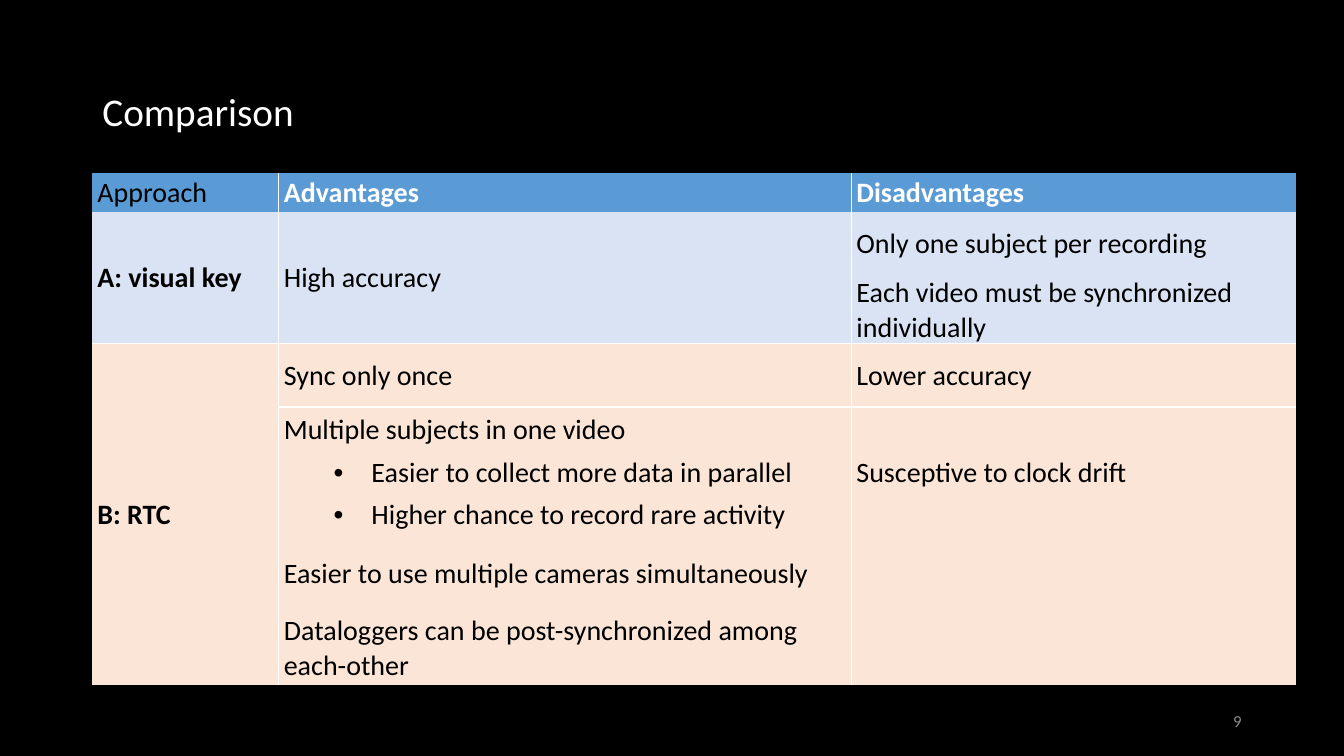
from lxml.etree import SubElement
from pptx import Presentation
from pptx.dml.color import RGBColor
from pptx.enum.text import MSO_ANCHOR as Anchor, PP_ALIGN as Align
from pptx.oxml import parse_xml
from pptx.oxml.ns import nsdecls, qn
from pptx.util import Pt

BLACK = RGBColor(0x00, 0x00, 0x00)
WHITE = RGBColor(0xFF, 0xFF, 0xFF)
GRAY = RGBColor(0x8C, 0x8C, 0x8C)
HEADER_BLUE = RGBColor(0x5B, 0x9B, 0xD5)
PALE_BLUE = RGBColor(0xDA, 0xE3, 0xF3)
PALE_ORANGE = RGBColor(0xFB, 0xE5, 0xD6)
FONT = "Calibri"
PLAIN_TABLE_STYLE = "{2D5ABB26-0587-4C30-8999-92F81FD0307C}"

COLUMN_WIDTHS = [133.2, 409, 317.5]
ROW_HEIGHTS = [27.4, 45.4, 45.4, 45.4, 92.9, 52.6, 53.3]
ROW_FILLS = [HEADER_BLUE] + [PALE_BLUE] * 2 + [PALE_ORANGE] * 4
MERGES = [((1, 0), (2, 0)), ((1, 1), (2, 1)), ((3, 0), (6, 0))]
LAST_ROW_OF_A = 2
BULLET = "• "
CELL_TEXTS = [
    ["Approach", "Advantages", "Disadvantages"],
    ["A: visual key", "High accuracy", "Only one subject per recording"],
    ["", "", "Each video must be synchronized individually"],
    ["B: RTC", "Sync only once", "Lower accuracy"],
    ["", "Multiple subjects in one video\n"
         "• Easier to collect more data in parallel\n"
         "• Higher chance to record rare activity",
     "Susceptive to clock drift"],
    ["", "Easier to use multiple cameras simultaneously", ""],
    ["", "Dataloggers can be post-synchronized among each-other", ""],
]


def format_font(font, size, color, bold=False):
    font.name = FONT
    font.size = Pt(size)
    font.bold = bold
    font.color.rgb = color


def add_title(slide, left, top, width, height):
    title = slide.shapes.title
    title.left, title.top, title.width, title.height = map(Pt, (left, top, width, height))
    title.text_frame.text = "Comparison"
    title.text_frame.vertical_anchor = Anchor.MIDDLE
    paragraph = title.text_frame.paragraphs[0]
    paragraph.alignment = Align.LEFT
    paragraph.line_spacing = 0.9
    format_font(paragraph.runs[0].font, 28, WHITE)


def add_slide_number(slide, left, top, width, height):
    box = slide.shapes.add_textbox(Pt(left), Pt(top), Pt(width), Pt(height))
    frame = box.text_frame
    frame.word_wrap = True
    frame.vertical_anchor = Anchor.MIDDLE
    frame.text = "9"
    frame.paragraphs[0].alignment = Align.RIGHT
    format_font(frame.paragraphs[0].runs[0].font, 12, GRAY)


def set_borders(cell, sides):
    properties = cell._tc.get_or_add_tcPr()
    for index, side in enumerate(sides):
        properties.insert(index, parse_xml(
            f'<a:ln{side} {nsdecls("a")} w="{Pt(1)}"><a:solidFill>'
            f'<a:srgbClr val="{WHITE}"/></a:solidFill></a:ln{side}>'))


def fill_text(cell, text, color, bold):
    cell.margin_left = cell.margin_top = cell.margin_right = Pt(0.7)
    cell.margin_bottom = 0
    cell.vertical_anchor = Anchor.MIDDLE
    cell.text_frame.text = text.replace(BULLET, "")
    for paragraph, line in zip(cell.text_frame.paragraphs, text.split("\n")):
        paragraph.space_before = Pt(6)
        properties = paragraph._p.get_or_add_pPr()
        properties.set("marL", str(Pt(2.9)))
        properties.set("indent", "0")
        if line.startswith(BULLET):
            paragraph.level = 1
            properties.set("marL", str(Pt(65.5)))
            properties.set("indent", str(Pt(-27)))
            SubElement(properties, qn("a:buFont"), typeface="Arial")
            SubElement(properties, qn("a:buChar"), char="•")
        format_font(paragraph.runs[0].font, 20, color, bold)


def add_comparison_table(slide, left, top):
    frame = slide.shapes.add_table(
        len(ROW_HEIGHTS), len(COLUMN_WIDTHS), Pt(left), Pt(top),
        Pt(sum(COLUMN_WIDTHS)), Pt(sum(ROW_HEIGHTS)))
    table = frame.table
    table.first_row = table.horz_banding = False
    table._tbl.tblPr.find(qn("a:tableStyleId")).text = PLAIN_TABLE_STYLE
    for column, width in zip(table.columns, COLUMN_WIDTHS):
        column.width = Pt(width)
    for row, height in zip(table.rows, ROW_HEIGHTS):
        row.height = Pt(height)
    for first, last in MERGES:
        table.cell(*first).merge(table.cell(*last))

    last_column = len(COLUMN_WIDTHS) - 1
    for row, texts in enumerate(CELL_TEXTS):
        for column, text in enumerate(texts):
            cell = table.cell(row, column)
            cell.fill.solid()
            cell.fill.fore_color.rgb = ROW_FILLS[row]
            if text:
                header = row == 0 and column > 0
                approach = row > 0 and column == 0
                fill_text(cell, text, WHITE if header else BLACK, header or approach)
            # White lines between columns and between the two approaches
            bottom_row = row + (cell.span_height - 1 if cell.is_merge_origin else 0)
            sides = [side for side, shown in (
                ("L", column > 0),
                ("R", column < last_column),
                ("T", row == LAST_ROW_OF_A + 1),
                ("B", bottom_row == LAST_ROW_OF_A)) if shown]
            set_borders(cell, sides)


def build_comparison_slide(presentation):
    slide = presentation.slides.add_slide(presentation.slide_layouts[5])
    slide.background.fill.solid()
    slide.background.fill.fore_color.rgb = BLACK
    add_title(slide, 66, 28.8, 828, 104.4)
    add_slide_number(slide, 678, 500.5, 216, 28.8)
    add_comparison_table(slide, 66, 123.8)


def main():
    presentation = Presentation()
    presentation.slide_width = Pt(960)
    presentation.slide_height = Pt(540)
    build_comparison_slide(presentation)
    presentation.save("out.pptx")


if __name__ == "__main__":
    main()
